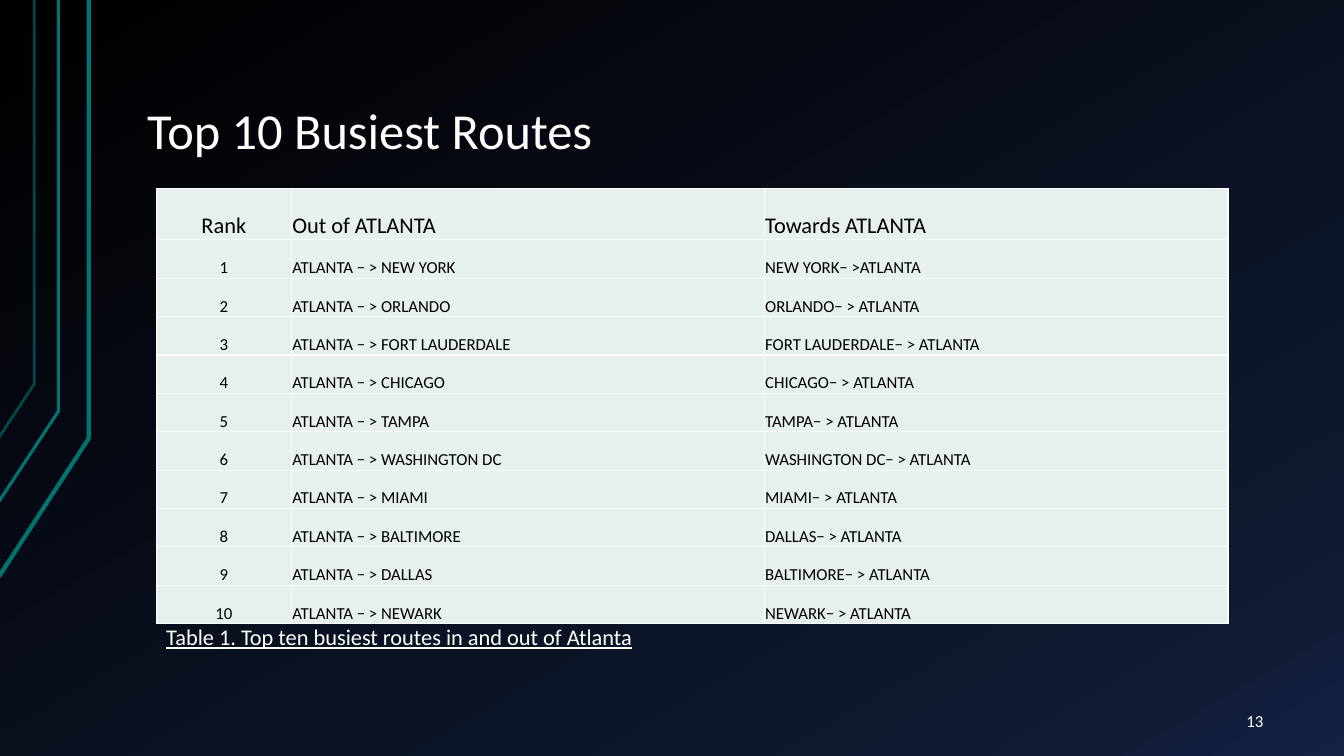
from copy import deepcopy
from dataclasses import dataclass

from lxml.etree import SubElement
from pptx import Presentation
from pptx.dml.color import RGBColor as Color
from pptx.enum.text import MSO_ANCHOR as Anchor, MSO_AUTO_SIZE as AutoSize, PP_ALIGN as Align
from pptx.oxml.ns import qn
from pptx.util import Inches, Pt


@dataclass(frozen=True)
class Theme:
    font: str = "Calibri"
    light: str = "FFFFFF"
    dark: str = "000000"
    cell: str = "E7EFEF"
    rail: str = "007373"
    backdrop: tuple = ((0, "000000"), (0.85, "0F1931"), (1, "142242"))
    title: int = 36
    heading: int = 16
    small: int = 12


THEME = Theme()
SLIDE_WIDTH, SLIDE_HEIGHT = Inches(13.33), Inches(7.5)
HEADER_HEIGHT, ROW_HEIGHT = 6.8, 5.08
COLUMN_WIDTHS = (10.05, 35.18, 34.51)
HEADINGS = ("Rank", "Out of ATLANTA", "Towards ATLANTA")
DESTINATIONS = ("NEW YORK", "ORLANDO", "FORT LAUDERDALE", "CHICAGO", "TAMPA",
                "WASHINGTON DC", "MIAMI", "BALTIMORE", "DALLAS", "NEWARK")
INBOUND = ("NEW YORK− >ATLANTA", "ORLANDO− > ATLANTA", "FORT LAUDERDALE− > ATLANTA",
           "CHICAGO− > ATLANTA", "TAMPA− > ATLANTA", "WASHINGTON DC− > ATLANTA",
           "MIAMI− > ATLANTA", "DALLAS− > ATLANTA", "BALTIMORE− > ATLANTA",
           "NEWARK− > ATLANTA")
RAILS = (
    (((-0.08, 76.27), (6.6, 58), (6.6, 0)), 3, 100),
    (((-0.15, 66.53), (4.35, 54.4), (4.35, 0)), 2.25, 100),
    (((-0.08, 57.87), (2.55, 50.8), (2.55, 0)), 2, 60),
)


def across(percent):
    return round(SLIDE_WIDTH * percent / 100)


def down(percent):
    return round(SLIDE_HEIGHT * percent / 100)


def box(left, top, width, height):
    return across(left), down(top), across(width), down(height)


def write(frame, text, size=THEME.small, color=THEME.light, align=Align.LEFT,
          underline=None, spacing=None):
    paragraph = frame.paragraphs[0]
    paragraph.alignment = align
    paragraph.line_spacing = spacing
    run = paragraph.add_run()
    run.text = text
    run.font.name = THEME.font
    run.font.size = Pt(size)
    run.font.color.rgb = Color.from_string(color)
    run.font.underline = underline


def set_margins(target, left, top, right, bottom):
    target.margin_left, target.margin_top = Inches(left), Inches(top)
    target.margin_right, target.margin_bottom = Inches(right), Inches(bottom)


def paint_background(slide):
    fill = slide.background.fill
    fill.gradient()
    fill.gradient_angle = 300
    stop_list = next(slide._element.iter(qn("a:gsLst")))
    stop_list.append(deepcopy(stop_list[-1]))
    for stop, (position, color) in zip(fill.gradient_stops, THEME.backdrop):
        stop.position = position
        stop.color.rgb = Color.from_string(color)


def add_rail(slide, points, weight, opacity):
    start, *others = [(across(x), down(y)) for x, y in points]
    builder = slide.shapes.build_freeform(*start)
    builder.add_line_segments(others, close=False)
    shape = builder.convert_to_shape()
    shape.shadow.inherit = False
    shape.fill.background()
    shape.line.width = Pt(weight)
    shape.line.color.rgb = Color.from_string(THEME.rail)
    if opacity < 100:
        color = next(shape.line._ln.iter(qn("a:srgbClr")))
        SubElement(color, qn("a:alpha"), val=str(opacity * 1000))


def add_title(slide, text, area):
    title = slide.shapes.title
    title.left, title.top, title.width, title.height = area
    frame = title.text_frame
    frame.auto_size = AutoSize.NONE
    frame.vertical_anchor = Anchor.BOTTOM
    set_margins(frame, 0.13, 0.07, 0.13, 0.07)
    write(frame, text, size=THEME.title, spacing=0.9)


def add_text(slide, text, area, anchor=Anchor.TOP, margins=(0.1, 0.05, 0.1, 0.05), **style):
    frame = slide.shapes.add_textbox(*area).text_frame
    frame.word_wrap = True
    frame.vertical_anchor = anchor
    set_margins(frame, *margins)
    write(frame, text, **style)


def add_borders(cell):
    properties = cell._tc.get_or_add_tcPr()
    for index, side in enumerate(("a:lnL", "a:lnR", "a:lnT", "a:lnB")):
        line = properties.makeelement(qn(side), {"w": str(Pt(1))})
        fill = SubElement(line, qn("a:solidFill"))
        SubElement(fill, qn("a:srgbClr"), val=THEME.light)
        properties.insert(index, line)


def format_cell(cell, text, size, align):
    cell.fill.solid()
    cell.fill.fore_color.rgb = Color.from_string(THEME.cell)
    cell.vertical_anchor = Anchor.BOTTOM
    set_margins(cell, 0.01, 0.01, 0.01, 0)
    write(cell.text_frame, text, size=size, color=THEME.dark, align=align)
    add_borders(cell)


def add_route_table(slide, left, top):
    routes = [(str(rank), f"ATLANTA − > {city}", inbound)
              for rank, (city, inbound) in enumerate(zip(DESTINATIONS, INBOUND), 1)]
    records = [HEADINGS, *routes]
    heights = [HEADER_HEIGHT] + [ROW_HEIGHT] * len(routes)
    area = box(left, top, sum(COLUMN_WIDTHS), sum(heights))
    table = slide.shapes.add_table(len(records), len(HEADINGS), *area).table
    for column, width in zip(table.columns, COLUMN_WIDTHS):
        column.width = across(width)
    for row_index, (record, height) in enumerate(zip(records, heights)):
        table.rows[row_index].height = down(height)
        size = THEME.small if row_index else THEME.heading
        for column_index, text in enumerate(record):
            align = Align.LEFT if column_index else Align.CENTER
            format_cell(table.cell(row_index, column_index), text, size, align)
    table.first_row = table.horz_banding = False


def main():
    presentation = Presentation()
    presentation.slide_width, presentation.slide_height = SLIDE_WIDTH, SLIDE_HEIGHT
    slide = presentation.slides.add_slide(presentation.slide_layouts[5])
    paint_background(slide)
    for points, weight, opacity in RAILS:
        add_rail(slide, points, weight, opacity)
    add_title(slide, "Top 10 Busiest Routes", box(9.98, 4, 85, 18.13))
    add_route_table(slide, 11.63, 24.93)
    add_text(slide, "13", box(86.65, 92.67, 8.33, 5.33), anchor=Anchor.MIDDLE,
             margins=(0.13, 0.07, 0.13, 0.07), align=Align.RIGHT)
    add_text(slide, "Table 1. Top ten busiest routes in and out of Atlanta",
             box(11.63, 81.73, 47.86, 4.93), size=THEME.heading, underline=True)
    presentation.save("out.pptx")


if __name__ == "__main__":
    main()
